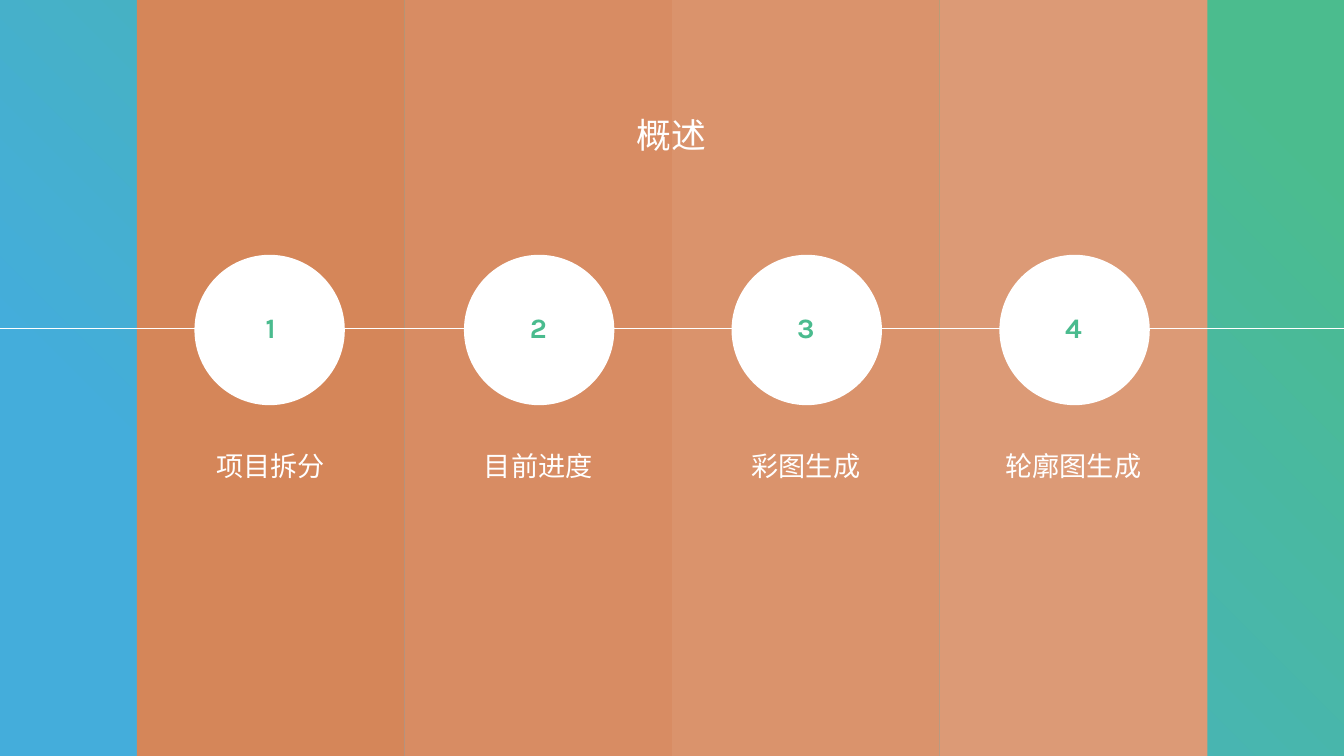
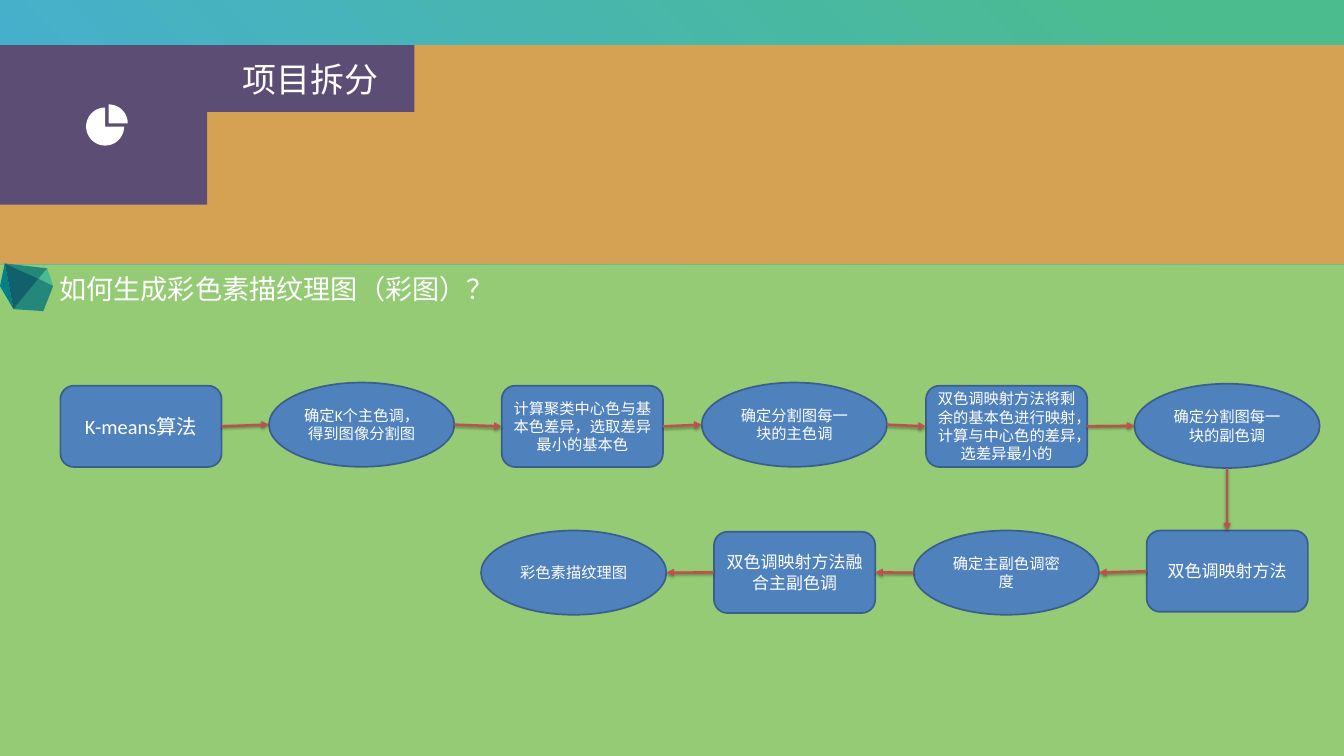
import math
from dataclasses import dataclass

from lxml import etree
from pptx import Presentation
from pptx import util as u
from pptx.dml.color import RGBColor
from pptx.enum import shapes, text
from pptx.oxml import ns, parse_xml


@dataclass(frozen=True)
class Theme:
    width: float = 55.85
    height: float = 31.42
    # Colours
    sky: str = "44ADDB"
    mint: str = "4BBC8E"
    white: str = "FFFFFF"
    number: str = "4ABB8E"
    columns: tuple = ("D58659", "D88C63", "DA936C", "DC9A76")
    meadow: str = "94CB74"
    sand: str = "D5A254"
    plum: str = "5C4D75"
    step: str = "4F81BD"
    step_line: str = "3A5F8C"
    arrow: str = "C0504D"
    # Fonts and type sizes
    display: str = "Karla"
    body: str = "Calibri"
    title_size: int = 41
    tab_size: int = 40
    number_size: int = 33
    heading_size: int = 32


THEME = Theme()
RECTANGLE = shapes.MSO_SHAPE.RECTANGLE
OVAL = shapes.MSO_SHAPE.OVAL
ROUNDED = shapes.MSO_SHAPE.ROUNDED_RECTANGLE

# Topic and left edge of its circle
TOPICS = [("项目拆分", 8.08), ("目前进度", 19.28),
          ("彩图生成", 30.4), ("轮廓图生成", 41.53)]

# Left edge, vertical middle, type size and wording; boxes and ovals alternate
STEPS = [
    (2.51, 17.72, 24, "K-means算法"),
    (11.18, 17.65, 18, "确定K个主色调，得到图像分割图"),
    (20.85, 17.72, 18, "计算聚类中心色与基本色差异，选取差异最小的基本色"),
    (29.16, 17.65, 18, "确定分割图每一块的主色调"),
    (38.48, 17.72, 18, "双色调映射方法将剩余的基本色进行映射，计算与中心色的差异，选差异最小的"),
    (47.14, 17.7, 18, "确定分割图每一块的副色调"),
    (47.65, 23.74, 20, "双色调映射方法"),
    (37.97, 23.8, 18, "确定主副色调密度"),
    (29.67, 23.79, 20, "双色调映射方法融合主副色调"),
    (19.99, 23.8, 18, "彩色素描纹理图"),
]

# Facets of the gem beside the heading
GEM = [
    ("4ABA92", [(1.96, 11.15), (1.6, 11.58), (2.21, 11.89)]),
    ("23877A", [(1.6, 11.58), (0.56, 12.85), (1.8, 12.93), (2.21, 11.89)]),
    ("238875", [(0.2, 10.95), (1.6, 11.58), (1.96, 11.15)]),
    ("008185", [(0.2, 10.95), (0, 11.89), (0.56, 12.85)]),
    ("11616C", [(0.2, 10.95), (0.56, 12.85), (1.6, 11.58)]),
]


def paint(shape, color, line=None, line_width=2):
    shape.shadow.inherit = False
    shape.fill.solid()
    shape.fill.fore_color.rgb = RGBColor.from_string(color)
    if line:
        shape.line.color.rgb = RGBColor.from_string(line)
        shape.line.width = u.Pt(line_width)
    else:
        shape.line.fill.background()


def write(shape, wording, size, font, color=THEME.white, bold=False,
          align=text.PP_ALIGN.CENTER, anchor=text.MSO_ANCHOR.MIDDLE):
    frame = shape.text_frame
    frame.word_wrap = True
    frame.vertical_anchor = anchor
    frame.text = wording
    paragraph = frame.paragraphs[0]
    paragraph.alignment = align
    style = paragraph.runs[0].font
    style.name, style.size, style.bold = font, u.Pt(size), bold
    style.color.rgb = RGBColor.from_string(color)


def add_block(slide, kind, left, top, width, height, color, line=None):
    shape = slide.shapes.add_shape(
        kind, u.Cm(left), u.Cm(top), u.Cm(width), u.Cm(height))
    paint(shape, color, line)
    return shape


def add_label(slide, left, top, width, height, wording, size, **style):
    box = slide.shapes.add_textbox(
        u.Cm(left), u.Cm(top), u.Cm(width), u.Cm(height))
    write(box, wording, size, THEME.display, **style)
    return box


def add_tight_label(slide, center, top, width, height, wording, size, **style):
    box = add_label(slide, center - width / 2, top, width, height, wording,
                    size, anchor=text.MSO_ANCHOR.TOP, **style)
    frame = box.text_frame
    frame.margin_left = frame.margin_right = 0
    frame.margin_top = frame.margin_bottom = 0


def add_polygon(slide, points, color):
    start, *rest = [(u.Cm(x), u.Cm(y)) for x, y in points]
    builder = slide.shapes.build_freeform(*start)
    builder.add_line_segments(rest, close=True)
    paint(builder.convert_to_shape(), color)


def add_sector(slide, center_x, center_y, radius, start, end, color):
    angles = [math.radians(degree) for degree in range(start, end + 1, 5)]
    arc = [(center_x + radius * math.cos(angle),
            center_y + radius * math.sin(angle)) for angle in angles]
    add_polygon(slide, [(center_x, center_y)] + arc, color)


def add_line(slide, begin, end, color, width):
    line = slide.shapes.add_connector(
        shapes.MSO_CONNECTOR.STRAIGHT, *[u.Cm(value) for value in (*begin, *end)])
    line.line.color.rgb = RGBColor.from_string(color)
    line.line.width = u.Pt(width)
    effects = etree.SubElement(line._element.spPr, ns.qn("a:effectLst"))
    return line, effects


def add_arrow(slide, begin, end):
    line, effects = add_line(slide, begin, end, THEME.arrow, 3)
    head = etree.SubElement(line.line._get_or_add_ln(), ns.qn("a:tailEnd"))
    head.set("type", "triangle")
    effects.append(parse_xml(
        f'<a:outerShdw {ns.nsdecls("a")} blurRad="40000" dist="23000" '
        'dir="5400000" rotWithShape="0"><a:srgbClr val="000000">'
        '<a:alpha val="35000"/></a:srgbClr></a:outerShdw>'))


def add_slide(presentation):
    """Blank slide on the shared sky-to-mint gradient."""
    slide = presentation.slides.add_slide(presentation.slide_layouts[6])
    backdrop = add_block(
        slide, RECTANGLE, 0, 0, THEME.width, THEME.height, THEME.sky)
    backdrop.fill.gradient()
    backdrop.fill.gradient_angle = 45
    stops = ((0.2, THEME.sky), (0.92, THEME.mint))
    for stop, (position, color) in zip(backdrop.fill.gradient_stops, stops):
        stop.position = position
        stop.color.rgb = RGBColor.from_string(color)
    return slide


def add_flow(slide):
    placed = []
    for index, (left, middle, size, wording) in enumerate(STEPS):
        kind, width, height = ((OVAL, 7.7, 3.5) if index % 2
                               else (ROUNDED, 6.7, 3.38))
        shape = add_block(slide, kind, left, middle - height / 2, width, height,
                          THEME.step, THEME.step_line)
        write(shape, wording, size, THEME.body)
        placed.append((left, middle, width, height))

    # Arrows run right, then down, then back left
    for source, target in zip(placed, placed[1:]):
        left, middle, width, height = source
        next_left, next_middle, next_width, next_height = target
        if next_middle - middle > height:
            center = left + width / 2
            begin = (center, middle + height / 2)
            end = (center, next_middle - next_height / 2)
        elif next_left > left:
            begin, end = (left + width, middle), (next_left, next_middle)
        else:
            begin, end = (left, middle), (next_left + next_width, next_middle)
        add_arrow(slide, begin, end)


def build_overview(presentation):
    slide = add_slide(presentation)
    first, pitch, diameter = 5.69, 11.12, 6.25

    # Column bands, title and the line behind the circles
    for index, color in enumerate(THEME.columns):
        add_block(slide, RECTANGLE, first + index * pitch, 0, pitch,
                  THEME.height, color)
    add_label(slide, 22.81, 4.65, 10.21, 1.88, "概述", THEME.title_size)
    _ = add_line(slide, (0, 13.66), (THEME.width, 13.66), THEME.white, 1.65)

    # Numbered topics
    for index, (topic, circle_left) in enumerate(TOPICS):
        center = first + (index + 0.5) * pitch
        add_block(slide, OVAL, circle_left, 10.59, diameter, diameter,
                  THEME.white)
        add_tight_label(slide, center, 18.69, max(5.08, 1.25 * len(topic)),
                        1.37, topic, THEME.heading_size)
        add_tight_label(slide, center, 12.9, 2.79, 1.42, str(index + 1),
                        THEME.number_size, color=THEME.number, bold=True)


def build_breakdown(presentation):
    slide = add_slide(presentation)

    # Bands and heading
    add_block(slide, RECTANGLE, 0, 11, THEME.width, 20.42, THEME.meadow)
    add_block(slide, RECTANGLE, 0, 1.88, THEME.width, 9.09, THEME.sand)
    add_label(slide, 2.21, 11.2, 18.62, 1.63, "如何生成彩色素描纹理图（彩图）？",
              THEME.heading_size, align=text.PP_ALIGN.LEFT)
    for color, points in GEM:
        add_polygon(slide, points, color)

    # Section tab with pie icon
    add_block(slide, RECTANGLE, 0, 1.88, 8.61, 6.63, THEME.plum)
    add_sector(slide, 4.37, 5.26, 0.79, 0, 270, THEME.white)
    add_sector(slide, 4.52, 5.13, 0.79, 270, 360, THEME.white)
    tab = add_block(slide, RECTANGLE, 8.61, 1.88, 8.61, 2.77, THEME.plum)
    write(tab, "项目拆分", THEME.tab_size, THEME.body)

    add_flow(slide)


def main():
    presentation = Presentation()
    presentation.slide_width = u.Cm(THEME.width)
    presentation.slide_height = u.Cm(THEME.height)
    build_overview(presentation)
    build_breakdown(presentation)
    presentation.save("out.pptx")


if __name__ == "__main__":
    main()
